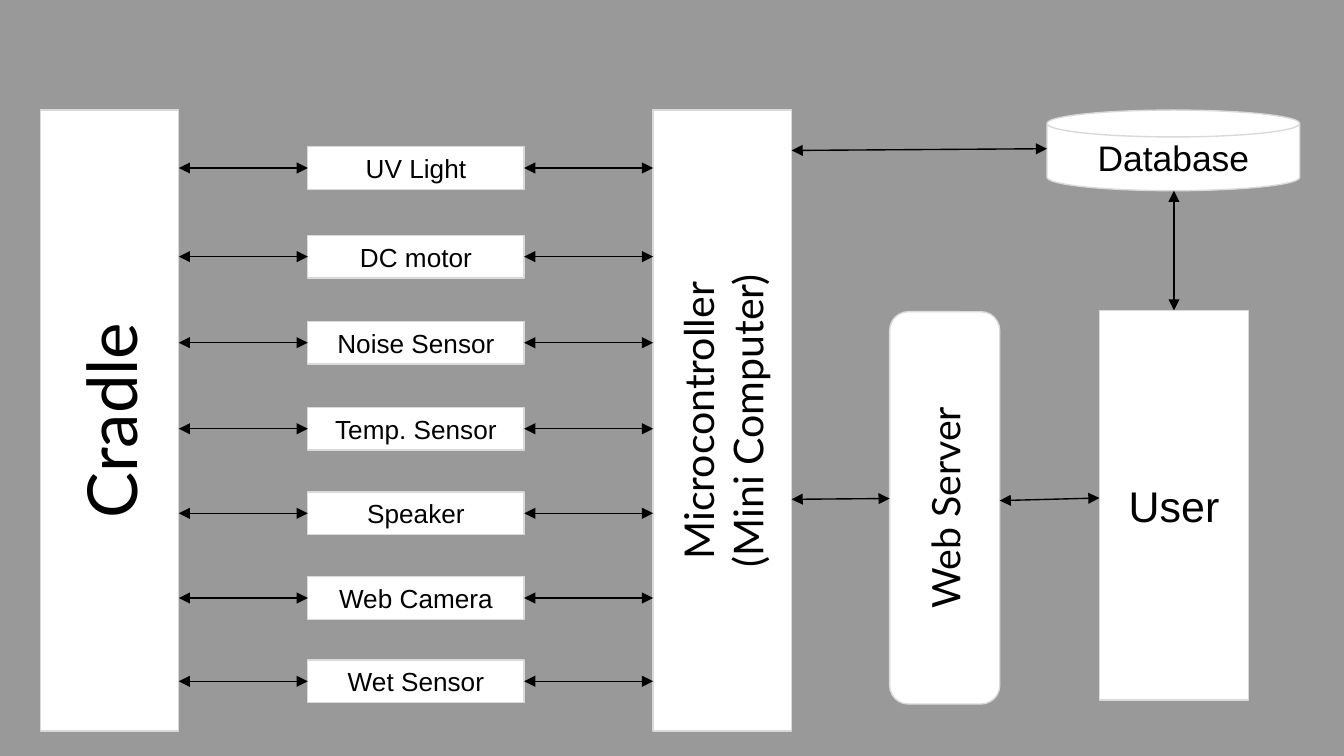
from lxml.etree import SubElement
from pptx import Presentation
from pptx.dml.color import RGBColor
from pptx.enum.shapes import MSO_CONNECTOR, MSO_SHAPE
from pptx.enum.text import MSO_ANCHOR, PP_ALIGN
from pptx.oxml.ns import qn
from pptx.util import Pt

BACKGROUND, WHITE, BORDER, BLACK = "999999", "FFFFFF", "D9D9D9", "000000"
INSET = 7.2

# Boxes are left, top, width, height in points.
CRADLE = (21.6, 59, 74.2, 332.6)
CONTROLLER = (349.9, 59, 74.2, 332.6)
DATABASE = (560.9, 59, 135.4, 43.2)
USER = (589, 166.3, 79.9, 208.8)
WEB_SERVER = (476.6, 167, 59, 210.2)

PART_LEFT, PART_WIDTH, PART_HEIGHT = 164.9, 115.9, 23
PART_TOPS = {
    "UV Light": 78.5,
    "DC motor": 126,
    "Noise Sensor": 172.1,
    "Temp. Sensor": 218.2,
    "Speaker": 263.5,
    "Web Camera": 308.9,
    "Wet Sensor": 353.5,
}


def color(hex_value):
    return RGBColor.from_string(hex_value)


def write_text(shape, lines, size, font_name):
    frame = shape.text_frame
    frame.word_wrap = True
    frame.vertical_anchor = MSO_ANCHOR.MIDDLE
    frame.margin_left = frame.margin_right = Pt(INSET)
    frame.margin_top = frame.margin_bottom = Pt(INSET)
    frame.text = "\n".join(lines)
    for paragraph in frame.paragraphs:
        paragraph.alignment = PP_ALIGN.CENTER
        paragraph.font.size = Pt(size)
        paragraph.font.name = font_name
        paragraph.font.color.rgb = color(BLACK)


def add_box(slide, box, label=None, size=14, kind=MSO_SHAPE.RECTANGLE):
    shape = slide.shapes.add_shape(kind, *map(Pt, box))
    shape.shadow.inherit = False
    shape.fill.solid()
    shape.fill.fore_color.rgb = color(WHITE)
    shape.line.color.rgb = color(BORDER)
    shape.line.width = Pt(0.75)
    if label:
        write_text(shape, [label], size, "Arial")
    return shape


def add_upright_label(slide, box, lines, size):
    """Write text that reads upwards, centred on the box."""
    left, top, width, height = box
    text_box = slide.shapes.add_textbox(
        Pt(left + (width - height) / 2), Pt(top + (height - width) / 2),
        Pt(height), Pt(width))
    text_box.rotation = 270
    write_text(text_box, lines, size, "Lato")


def add_double_arrow(slide, start, end):
    arrow = slide.shapes.add_connector(
        MSO_CONNECTOR.STRAIGHT, *map(Pt, (*start, *end)))
    arrow.line.color.rgb = color(BLACK)
    arrow.line.width = Pt(0.75)
    line = arrow.line._get_or_add_ln()
    for end_tag in ("a:headEnd", "a:tailEnd"):
        SubElement(line, qn(end_tag), type="triangle")
    SubElement(arrow._element.spPr, qn("a:effectLst"))


def add_column(slide, box, lines, size):
    add_box(slide, box)
    add_upright_label(slide, box, lines, size)


def add_parts(slide):
    """Add the devices, each linked to the cradle and the controller."""
    cradle_right = CRADLE[0] + CRADLE[2]
    part_right = PART_LEFT + PART_WIDTH
    for name, top in PART_TOPS.items():
        add_box(slide, (PART_LEFT, top, PART_WIDTH, PART_HEIGHT), name)
        middle = top + PART_HEIGHT / 2
        add_double_arrow(slide, (cradle_right, middle), (PART_LEFT, middle))
        add_double_arrow(slide, (part_right, middle), (CONTROLLER[0], middle))


def add_services(slide):
    """Add the database, web server and user with their links."""
    add_box(slide, DATABASE, "Database", 19, MSO_SHAPE.FLOWCHART_MAGNETIC_DISK)
    add_box(slide, USER, "User", 23)
    server = add_box(slide, WEB_SERVER, kind=MSO_SHAPE.ROUNDED_RECTANGLE)
    server.adjustments[0] = 0.17
    add_upright_label(slide, WEB_SERVER, ["Web Server"], 21)

    controller_right = CONTROLLER[0] + CONTROLLER[2]
    server_right = WEB_SERVER[0] + WEB_SERVER[2]
    user_center = USER[0] + USER[2] / 2
    database_bottom = DATABASE[1] + DATABASE[3]
    add_double_arrow(slide, (controller_right, 80.6), (DATABASE[0], 79.7))
    add_double_arrow(slide, (controller_right, 267.5), (WEB_SERVER[0], 267.1))
    add_double_arrow(slide, (server_right, 268.2), (USER[0], 266.8))
    add_double_arrow(slide, (user_center, database_bottom), (user_center, USER[1]))


def main():
    presentation = Presentation()
    presentation.slide_width = Pt(720)
    presentation.slide_height = Pt(405)
    slide = presentation.slides.add_slide(presentation.slide_layouts[6])
    slide.background.fill.solid()
    slide.background.fill.fore_color.rgb = color(BACKGROUND)

    add_column(slide, CRADLE, ["Cradle"], 37)
    add_column(slide, CONTROLLER, ["Microcontroller", "(Mini Computer)"], 22)
    add_parts(slide)
    add_services(slide)
    presentation.save("out.pptx")


if __name__ == "__main__":
    main()
